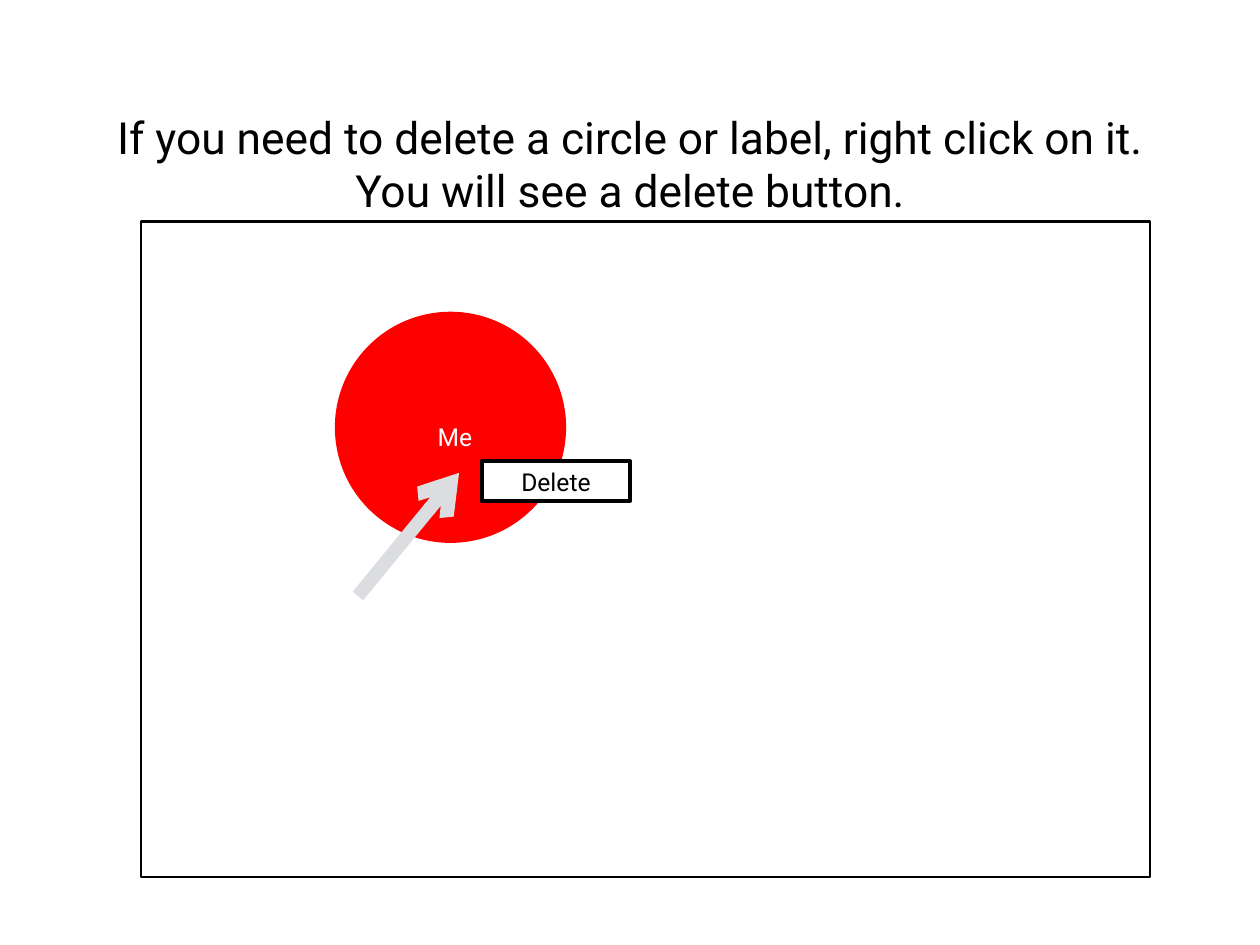
import pptx
import pptx.dml.color
import pptx.enum.shapes
import pptx.enum.text
import pptx.oxml
import pptx.oxml.ns
import pptx.util

Cm = pptx.util.Cm
Pt = pptx.util.Pt
RGBColor = pptx.dml.color.RGBColor
SHAPES = pptx.enum.shapes.MSO_SHAPE

BLACK = RGBColor(0x00, 0x00, 0x00)
WHITE = RGBColor(0xFF, 0xFF, 0xFF)
RED = RGBColor(0xFF, 0x00, 0x00)
GREY = RGBColor(0xDC, 0xDD, 0xE0)

FONT = "Roboto"
SLIDE_SIZE = (36.12, 27.1)
TITLE = "If you need to delete a circle or label, right click on it. You will see a delete button."
TITLE_BOX = (2.72, 3, 30.68, 3.35)
CIRCLE_BOX = (9.6, 8.94, 6.63, 6.63)
FRAME_BOX = (4.04, 6.35, 28.93, 18.8)
LABEL = "Me"
LABEL_BOX = (10.95, 11.96, 4.19, 1.14)
BUTTON = "Delete"
BUTTON_BOX = (13.82, 13.23, 4.24, 1.14)
ARROW = (10.26, 17.09, 13.16, 13.56)


def lengths(values):
    return [Cm(value) for value in values]


def write_text(shape, text, size, color):
    frame = shape.text_frame
    frame.auto_size = pptx.enum.text.MSO_AUTO_SIZE.NONE
    frame.word_wrap = True
    frame.vertical_anchor = pptx.enum.text.MSO_ANCHOR.MIDDLE
    frame.margin_left = frame.margin_right = Cm(0.15)
    frame.margin_top = frame.margin_bottom = Cm(0.15)
    paragraph = frame.paragraphs[0]
    paragraph.alignment = pptx.enum.text.PP_ALIGN.CENTER
    run = paragraph.add_run()
    run.text = text
    run.font.name = FONT
    run.font.size = Pt(size)
    run.font.color.rgb = color


def add_panel(slide, kind, box, fill=None, line_width=None):
    shape = slide.shapes.add_shape(kind, *lengths(box))
    shape.shadow.inherit = False
    if fill is None:
        shape.fill.background()
    else:
        shape.fill.solid()
        shape.fill.fore_color.rgb = fill
    if line_width is None:
        shape.line.fill.background()
    else:
        shape.line.color.rgb = BLACK
        shape.line.width = Pt(line_width)
    return shape


def add_arrow(slide, ends, color, width):
    arrow = slide.shapes.add_connector(
        pptx.enum.shapes.MSO_CONNECTOR.STRAIGHT, *lengths(ends))
    arrow.line.color.rgb = color
    arrow.line.width = Pt(width)
    namespace = pptx.oxml.ns.nsdecls("a")
    arrow.line._get_or_add_ln().append(
        pptx.oxml.parse_xml(f'<a:tailEnd {namespace} type="arrow"/>'))
    arrow._element.spPr.append(pptx.oxml.parse_xml(f"<a:effectLst {namespace}/>"))


def main():
    presentation = pptx.Presentation()
    presentation.slide_width, presentation.slide_height = lengths(SLIDE_SIZE)
    slide = presentation.slides.add_slide(presentation.slide_layouts[5])

    title = slide.shapes.title
    title.left, title.top, title.width, title.height = lengths(TITLE_BOX)
    write_text(title, TITLE, 36, BLACK)

    add_panel(slide, SHAPES.OVAL, CIRCLE_BOX, fill=RED)
    add_panel(slide, SHAPES.RECTANGLE, FRAME_BOX, line_width=2)
    label = slide.shapes.add_textbox(*lengths(LABEL_BOX))
    write_text(label, LABEL, 20, WHITE)
    add_arrow(slide, ARROW, GREY, 11)
    button = add_panel(slide, SHAPES.RECTANGLE, BUTTON_BOX, fill=WHITE, line_width=3.25)
    write_text(button, BUTTON, 20, BLACK)

    presentation.save("out.pptx")


if __name__ == "__main__":
    main()
